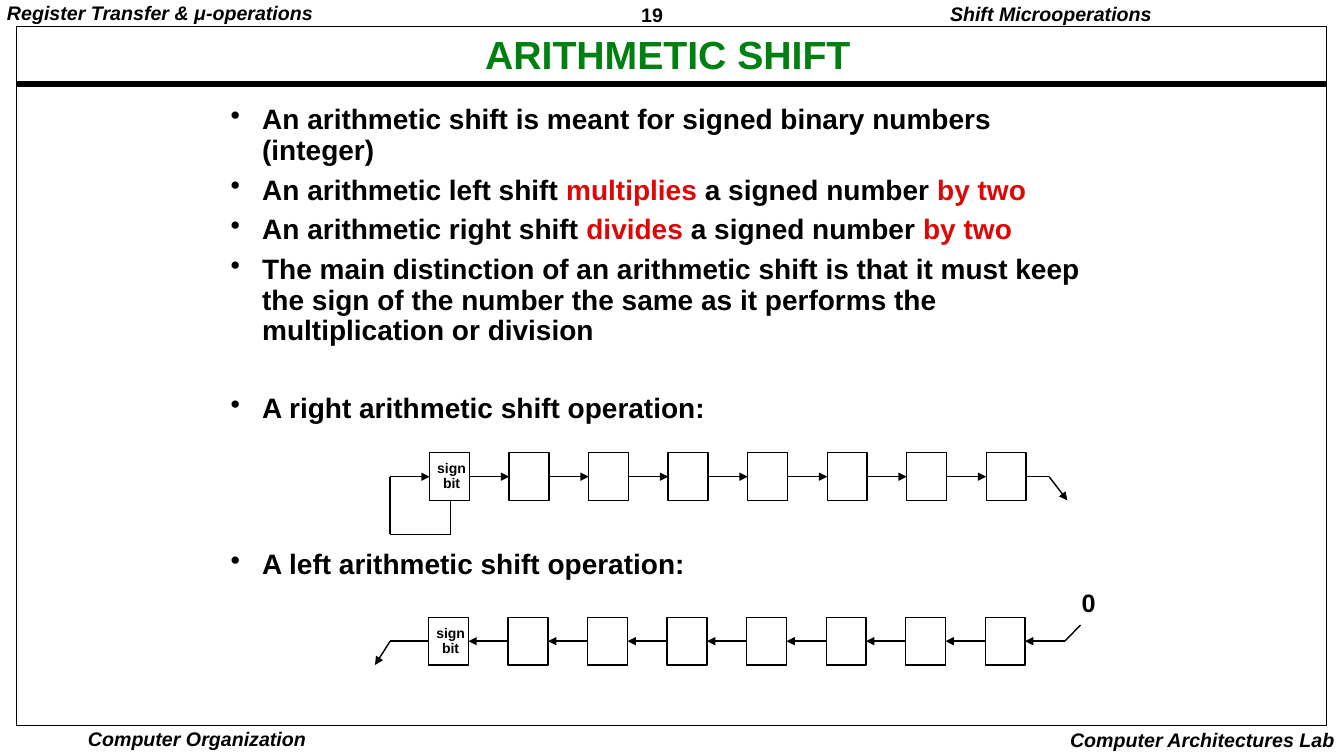
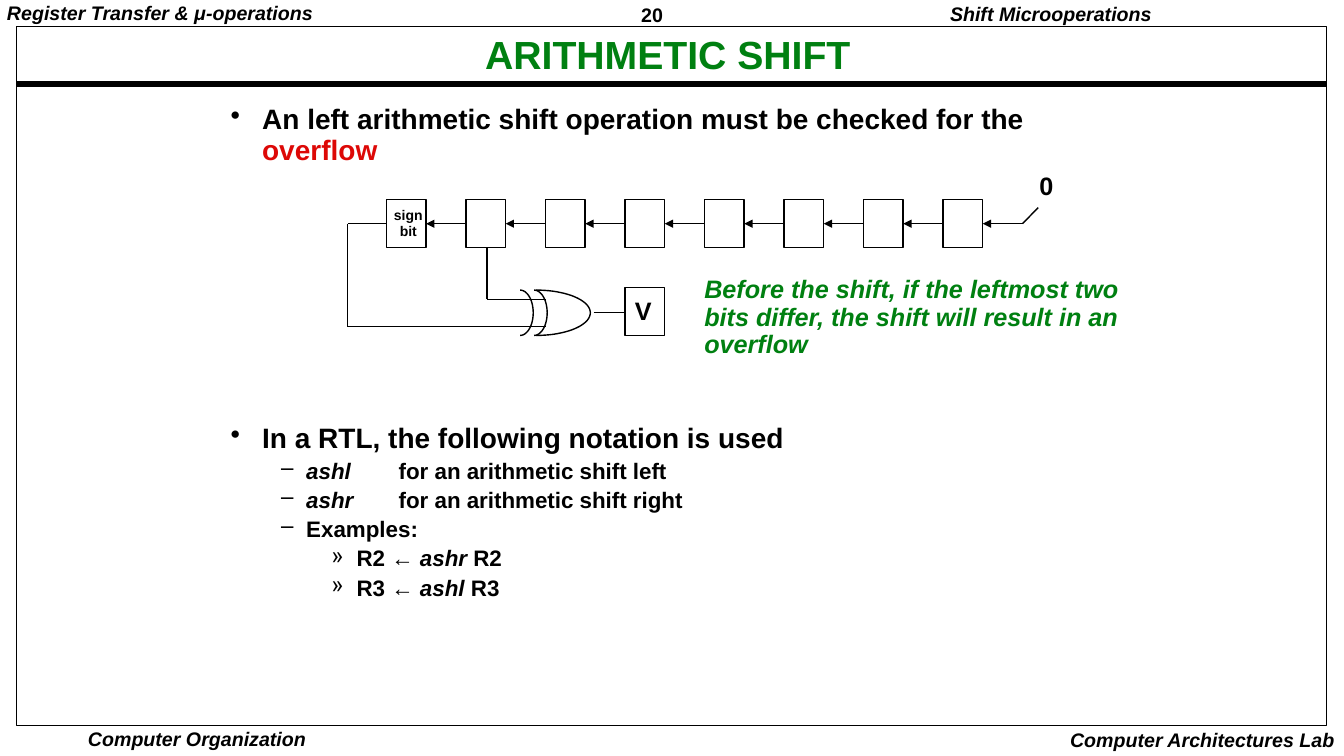
from dataclasses import dataclass
from math import cos, pi, sin
from typing import Optional

from lxml import etree
from pptx import Presentation
from pptx.dml.color import RGBColor
from pptx.enum.shapes import MSO_CONNECTOR, MSO_SHAPE
from pptx.enum.text import MSO_AUTO_SIZE, PP_ALIGN
from pptx.oxml.ns import qn
from pptx.util import Pt

BLACK = RGBColor(0x00, 0x00, 0x00)
GREEN = RGBColor(0x00, 0x80, 0x11)
RED = RGBColor(0xDD, 0x08, 0x06)
FONT = "Arial"

LEFT, CENTER, RIGHT = PP_ALIGN.LEFT, PP_ALIGN.CENTER, PP_ALIGN.RIGHT
GROW = MSO_AUTO_SIZE.SHAPE_TO_FIT_TEXT
FIXED = MSO_AUTO_SIZE.NONE
STRAIGHT, RECTANGLE = MSO_CONNECTOR.STRAIGHT, MSO_SHAPE.RECTANGLE

# Register geometry, in points
CELL_COUNT = 8
CELL_WIDTH, CELL_HEIGHT = 28.4, 34.2
PITCH = 2 * CELL_WIDTH


@dataclass(frozen=True)
class Span:
    text: str
    color: RGBColor = BLACK
    italic: bool = False


@dataclass(frozen=True)
class Label:
    """A text box whose lines share one style."""
    lines: tuple[str, ...]
    box: tuple[float, float, float, float]
    size: float = 14
    color: RGBColor = BLACK
    italic: bool = False
    align: PP_ALIGN = LEFT
    spacing: float = 0.9
    inset: tuple[float, float] = (7.2, 3.6)
    wrap: bool = False


@dataclass(frozen=True)
class Level:
    bullet: str
    size: float
    margin: float
    hanging: float


@dataclass(frozen=True)
class Item:
    spans: tuple[Span, ...]
    level: int = 0
    skipped_lines: int = 0


@dataclass(frozen=True)
class Register:
    left: float
    top: float

    @property
    def middle(self) -> float:
        return self.top + CELL_HEIGHT / 2

    @property
    def right(self) -> float:
        return self.left + (CELL_COUNT - 1) * PITCH + CELL_WIDTH


LEVELS = (Level("•", 20, 22.5, 22.5), Level("–", 16, 54, 18), Level("»", 16, 90, 18))

TITLE = Label(("ARITHMETIC SHIFT",), (131, 23, 692, 34.6), 28, GREEN,
              align=CENTER, inset=(5, 2.2), wrap=True)
FRAME_LABELS = (
    Label(("Register Transfer & μ-operations",), (0, 0, 229.7, 34.6), italic=True, inset=(5, 2.2)),
    Label(("Computer Organization",), (60.5, 518.4, 160.6, 18.7), italic=True,
          align=CENTER, spacing=1, inset=(2.2, 0.7)),
    Label(("Computer Architectures Lab",), (756, 516.2, 204.5, 23.8), italic=True,
          align=RIGHT, spacing=1),
    Label(("Shift Microoperations",), (671, 0, 159, 22.3), italic=True, align=RIGHT),
    TITLE,
)

SHIFT_ITEMS = (
    Item((Span("An arithmetic shift is meant for signed binary numbers (integer)"),)),
    Item((Span("An arithmetic left shift "), Span("multiplies", RED),
          Span(" a signed number "), Span("by two", RED))),
    Item((Span("An arithmetic right shift "), Span("divides", RED),
          Span(" a signed number "), Span("by two", RED))),
    Item((Span("The main distinction of an arithmetic shift is that it must keep the sign "
               "of the number the same as it performs the multiplication or division"),)),
    Item((Span("A right arithmetic shift operation:"),), skipped_lines=1),
    Item((Span("A left arithmetic shift operation:"),), skipped_lines=3),
)
OVERFLOW_ITEMS = (
    Item((Span("An left arithmetic shift operation must be checked for the "),
          Span("overflow", RED))),
)
NOTATION_ITEMS = (
    Item((Span("In a RTL, the following notation is used"),)),
    Item((Span("ashl", italic=True), Span("\tfor an arithmetic shift left")), 1),
    Item((Span("ashr", italic=True), Span("\tfor an arithmetic shift right")), 1),
    Item((Span("Examples:"),), 1),
    Item((Span("R2 ← "), Span("ashr", italic=True), Span(" R2")), 2),
    Item((Span("R3 ← "), Span("ashl", italic=True), Span(" R3")), 2),
)


# Text
def add_text_frame(slide, box, inset, wrap: bool, auto_size):
    text_frame = slide.shapes.add_textbox(*map(Pt, box)).text_frame
    horizontal, vertical = map(Pt, inset)
    formats = {"margin_left": horizontal, "margin_right": horizontal,
               "margin_top": vertical, "margin_bottom": vertical,
               "word_wrap": wrap, "auto_size": auto_size}
    for name, value in formats.items():
        setattr(text_frame, name, value)
    return text_frame


def add_paragraph(text_frame, index: int):
    return text_frame.paragraphs[0] if index == 0 else text_frame.add_paragraph()


def add_span(paragraph, span: Span, size: float) -> None:
    run = paragraph.add_run()
    run.text = span.text
    formats = {"name": FONT, "size": Pt(size), "bold": True, "italic": span.italic}
    for name, value in formats.items():
        setattr(run.font, name, value)
    run.font.color.rgb = span.color


def add_label(slide, label: Label) -> None:
    text_frame = add_text_frame(slide, label.box, label.inset, label.wrap, GROW)
    for index, line in enumerate(label.lines):
        paragraph = add_paragraph(text_frame, index)
        paragraph.alignment = label.align
        paragraph.line_spacing = label.spacing
        add_span(paragraph, Span(line, label.color, label.italic), label.size)


def add_bullets(slide, items: tuple[Item, ...], box, spacing: float = 0.9) -> None:
    text_frame = add_text_frame(slide, box, (7.2, 3.6), True, FIXED)
    for index, item in enumerate(items):
        level = LEVELS[item.level]
        paragraph = add_paragraph(text_frame, index)
        paragraph.level = item.level
        paragraph.line_spacing = spacing
        line_height = 1.15 * level.size
        gap = 0.3 * line_height
        paragraph.space_before = Pt(gap + item.skipped_lines * (gap + spacing * line_height))
        for span in item.spans:
            add_span(paragraph, span, level.size)
        properties = paragraph._p.get_or_add_pPr()
        for name, value in {"marL": level.margin, "indent": -level.hanging,
                            "defTabSz": 60}.items():
            properties.set(name, str(Pt(value)))
        etree.SubElement(properties, qn("a:buChar")).set("char", level.bullet)


# Lines and boxes
def add_line(slide, start, end, arrow: bool = False, width: float = 1) -> None:
    connector = slide.shapes.add_connector(STRAIGHT, *map(Pt, (*start, *end)))
    connector.line.color.rgb = BLACK
    connector.line.width = Pt(width)
    properties = connector.element.spPr
    if arrow:
        etree.SubElement(properties.find(qn("a:ln")), qn("a:tailEnd")).set("type", "triangle")
    etree.SubElement(properties, qn("a:effectLst"))


def add_wire(slide, *points, arrow: bool = False) -> None:
    """Join the points; an arrow sits on the last one."""
    last = len(points) - 2
    for index, (start, end) in enumerate(zip(points, points[1:])):
        add_line(slide, start, end, arrow and index == last)


def outline(shape, width: float = 1) -> None:
    shape.shadow.inherit = False
    shape.fill.background()
    shape.line.color.rgb = BLACK
    shape.line.width = Pt(width)


def add_box(slide, left: float, top: float, width: float = CELL_WIDTH,
            height: float = CELL_HEIGHT, line_width: float = 1) -> None:
    shape = slide.shapes.add_shape(RECTANGLE, *map(Pt, (left, top, width, height)))
    outline(shape, line_width)


def add_half_ellipse(slide, center_x: float, center_y: float,
                     radius_x: float, radius_y: float, steps: int = 40) -> None:
    angles = [pi * (step / steps - 0.5) for step in range(steps + 1)]
    points = [(Pt(center_x + radius_x * cos(angle)), Pt(center_y + radius_y * sin(angle)))
              for angle in angles]
    builder = slide.shapes.build_freeform(*points[0])
    builder.add_line_segments(points[1:], close=False)
    outline(builder.convert_to_shape())


# Registers
def add_register(slide, register: Register, shifts_right: bool) -> None:
    middle = register.middle
    for index in range(CELL_COUNT):
        left = register.left + index * PITCH
        add_box(slide, left, register.top)
        if shifts_right:
            start, end = left - CELL_WIDTH, left
        else:
            start, end = left + PITCH, left + CELL_WIDTH
        add_line(slide, (start, middle), (end, middle), arrow=True)
    add_label(slide, Label(("sign", "bit"), (register.left - 2, register.top + 2.9, 35.3, 28.8),
                           10, align=CENTER))


def add_left_shift(slide, register: Register) -> None:
    add_register(slide, register, shifts_right=False)
    feed = register.right + CELL_WIDTH
    add_wire(slide, (feed, register.middle), (feed + 11.2, register.middle - 11.5))
    add_label(slide, Label(("0",), (feed + 5, register.top - 22.3, 24.5, 26.6), 18))


# Slides
def add_framed_slide(presentation, number: Optional[int] = None):
    slide = presentation.slides.add_slide(presentation.slide_layouts[6])
    add_label(slide, Label((str(number),), (453, 0, 27.4, 20.9), spacing=1.01, inset=(5, 2.2)))
    add_line(slide, (12, 60), (947.5, 60), width=4.5)
    add_box(slide, 12, 19, 935.5, 499.5, line_width=0.5)
    for label in FRAME_LABELS:
        add_label(slide, label)
    return slide


def add_shift_slide(presentation) -> None:
    slide = add_framed_slide(presentation, 19)
    add_bullets(slide, SHIFT_ITEMS, (157.7, 72, 629.3, 413.3))

    # Right shift: the sign bit feeds itself, the last bit drops out
    register = Register(306.9, 323.4)
    middle = register.middle
    add_register(slide, register, shifts_right=True)
    loop_left, loop_bottom, loop_right = register.left - CELL_WIDTH, 381.6, 322
    add_wire(slide, (loop_left, middle), (loop_left, loop_bottom), (loop_right, loop_bottom),
             (loop_right, register.top + CELL_HEIGHT))
    exit_x = register.right + 16.5
    add_wire(slide, (register.right, middle), (exit_x, middle), (exit_x + 13, middle + 17),
             arrow=True)

    # Left shift: the sign bit drops out
    register = Register(306.2, 440.9)
    middle = register.middle
    add_left_shift(slide, register)
    exit_x = register.left - 27.5
    add_wire(slide, (register.left, middle), (exit_x, middle), (exit_x - 10.8, middle + 17),
             arrow=True)


def add_overflow_slide(presentation) -> None:
    slide = add_framed_slide(presentation, 20)
    add_bullets(slide, OVERFLOW_ITEMS, (157.7, 72, 629.3, 76.3))
    register = Register(276, 142.7)
    add_left_shift(slide, register)

    # Exclusive-or gate on the two leftmost bits
    gate_y = 223.4
    for center_x, radius_x in ((383, 38.7), (381.5, 9.4), (371.5, 9.4)):
        add_half_ellipse(slide, center_x, gate_y, radius_x, 16.2)
    gate_input, sign_x, second_x = 389.8, 248.4, 347.8
    add_wire(slide, (register.left, register.middle), (sign_x, register.middle),
             (sign_x, 233.4), (gate_input, 233.4))
    add_wire(slide, (second_x, register.top + CELL_HEIGHT), (second_x, 213.9),
             (gate_input, 213.9))
    output_x = register.left + 3 * PITCH
    add_wire(slide, (424, gate_y), (output_x, gate_y))
    add_box(slide, output_x, 205.3)
    add_label(slide, Label(("V",), (output_x, 209.5, 26.6, 26.6), 18))
    add_label(slide, Label(("Before the shift, if the leftmost two",
                            "bits differ, the shift will result in an", "overflow"),
                           (496, 194.4, 311.8, 65.5), 18, GREEN, italic=True))

    add_bullets(slide, NOTATION_ITEMS, (157.7, 301.7, 629.3, 141.8), spacing=0.8)


def main() -> None:
    presentation = Presentation()
    presentation.slide_width, presentation.slide_height = Pt(960), Pt(540)
    add_shift_slide(presentation)
    add_overflow_slide(presentation)
    presentation.save("out.pptx")


if __name__ == "__main__":
    main()
